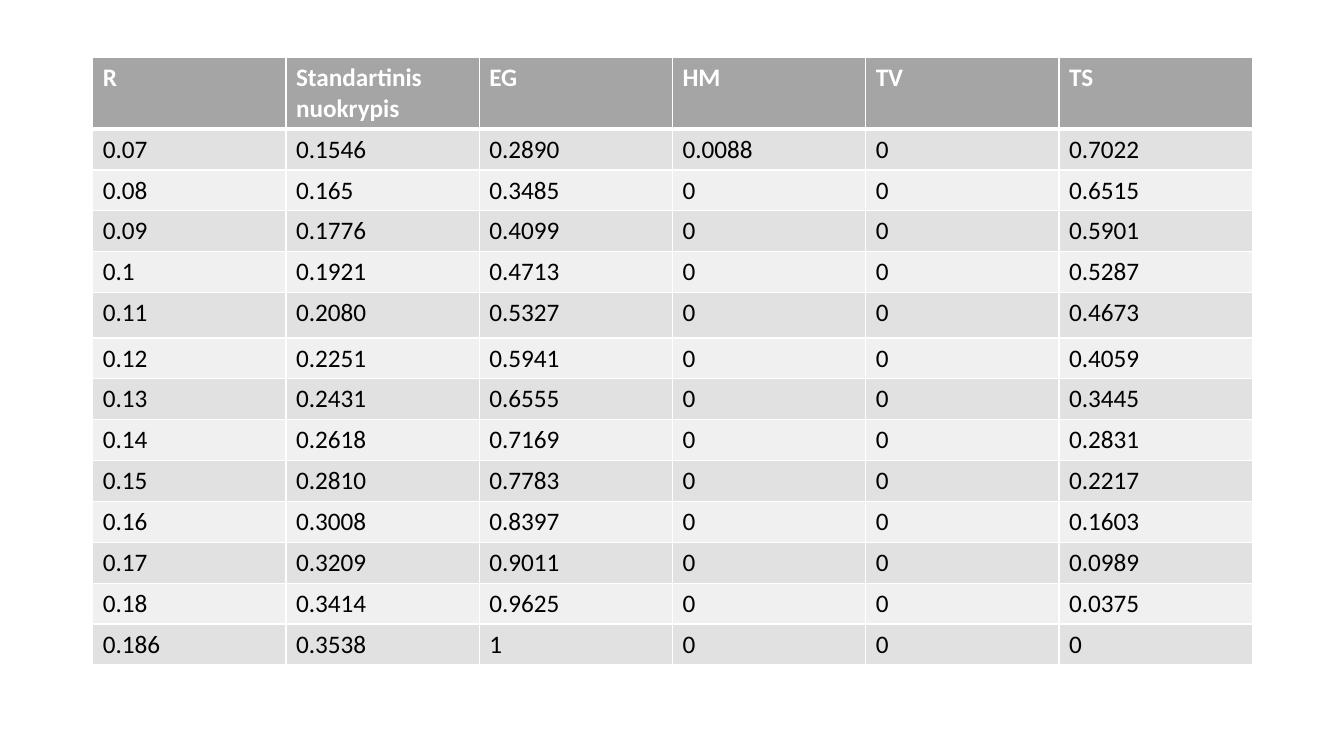
from dataclasses import dataclass

from lxml.etree import SubElement
from pptx import Presentation
from pptx.dml.color import RGBColor
from pptx.oxml.ns import qn
from pptx.table import _Cell
from pptx.util import Inches, Pt

COLORS = {
    "header": "A5A5A5",
    "odd": "E1E1E1",
    "even": "F0F0F0",
    "white": "FFFFFF",
    "black": "000000",
}
HEADINGS = ("R", "Standartinis nuokrypis", "EG", "HM", "TV", "TS")
RESULTS = (
    ("0.07", "0.1546", "0.2890", "0.0088", "0", "0.7022"),
    ("0.08", "0.165", "0.3485", "0", "0", "0.6515"),
    ("0.09", "0.1776", "0.4099", "0", "0", "0.5901"),
    ("0.1", "0.1921", "0.4713", "0", "0", "0.5287"),
    ("0.11", "0.2080", "0.5327", "0", "0", "0.4673"),
    ("0.12", "0.2251", "0.5941", "0", "0", "0.4059"),
    ("0.13", "0.2431", "0.6555", "0", "0", "0.3445"),
    ("0.14", "0.2618", "0.7169", "0", "0", "0.2831"),
    ("0.15", "0.2810", "0.7783", "0", "0", "0.2217"),
    ("0.16", "0.3008", "0.8397", "0", "0", "0.1603"),
    ("0.17", "0.3209", "0.9011", "0", "0", "0.0989"),
    ("0.18", "0.3414", "0.9625", "0", "0", "0.0375"),
    ("0.186", "0.3538", "1", "0", "0", "0"),
)
LEFT, TOP, WIDTH, HEIGHT = Inches(0.92), Inches(0.57), Inches(11.5), Inches(6.02)
HEADER_HEIGHT = Inches(0.7)
TALL_ROW, TALL_HEIGHT = 5, Inches(0.45)


@dataclass(frozen=True)
class RowStyle:
    fill: str
    ink: str
    bold: bool = False
    top: float = 1
    bottom: float = 1


HEADER = RowStyle("header", "white", bold=True, bottom=3)
FIRST = RowStyle("odd", "black", top=3)
ODD = RowStyle("odd", "black")
EVEN = RowStyle("even", "black")


def row_style(index: int) -> RowStyle:
    if index < 2:
        return (HEADER, FIRST)[index]
    return ODD if index % 2 else EVEN


def add_borders(cell: _Cell, style: RowStyle) -> None:
    properties = cell._tc.get_or_add_tcPr()
    widths = {"lnL": 1, "lnR": 1, "lnT": style.top, "lnB": style.bottom}
    for side, width in widths.items():
        border = SubElement(properties, qn(f"a:{side}"), w=str(Pt(width)))
        paint = SubElement(border, qn("a:solidFill"))
        SubElement(paint, qn("a:srgbClr"), val=COLORS["white"])


def fill_cell(cell: _Cell, wording: str, style: RowStyle) -> None:
    add_borders(cell, style)
    cell.fill.solid()
    cell.fill.fore_color.rgb = RGBColor.from_string(COLORS[style.fill])
    cell.text = wording
    font = cell.text_frame.paragraphs[0].runs[0].font
    for attribute, value in {"name": "Calibri", "size": Pt(18), "bold": style.bold}.items():
        setattr(font, attribute, value)
    font.color.rgb = RGBColor.from_string(COLORS[style.ink])


presentation = Presentation()
presentation.slide_width = Inches(13.33)
presentation.slide_height = Inches(7.5)
slide = presentation.slides.add_slide(presentation.slide_layouts[6])

lines = (HEADINGS, *RESULTS)
results = slide.shapes.add_table(len(lines), len(HEADINGS), LEFT, TOP, WIDTH, HEIGHT).table
for column in results.columns:
    column.width = WIDTH // len(HEADINGS)

special_heights = {0: HEADER_HEIGHT, TALL_ROW: TALL_HEIGHT}
plain_height = (HEIGHT - sum(special_heights.values())) // (len(lines) - len(special_heights))
for index, (row, line) in enumerate(zip(results.rows, lines)):
    row.height = special_heights.get(index, plain_height)
    for cell, wording in zip(row.cells, line):
        fill_cell(cell, wording, row_style(index))

presentation.save("out.pptx")
